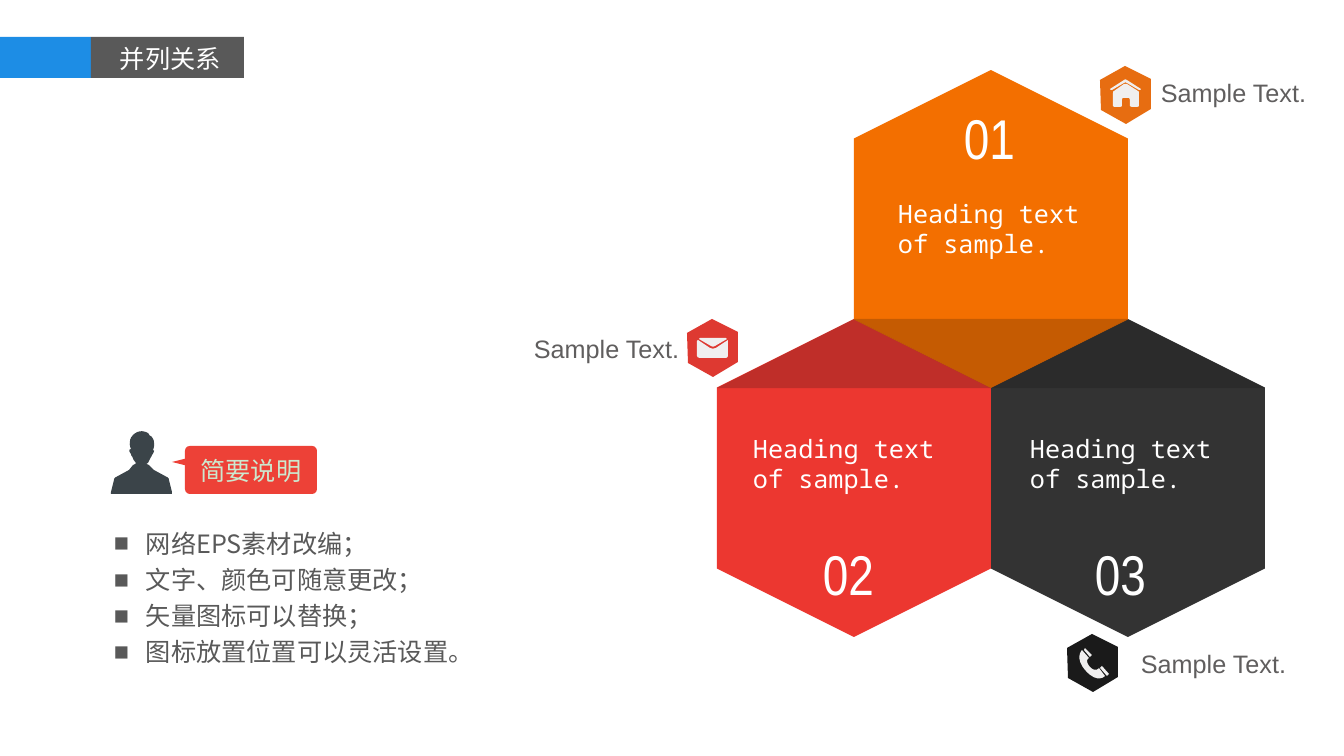
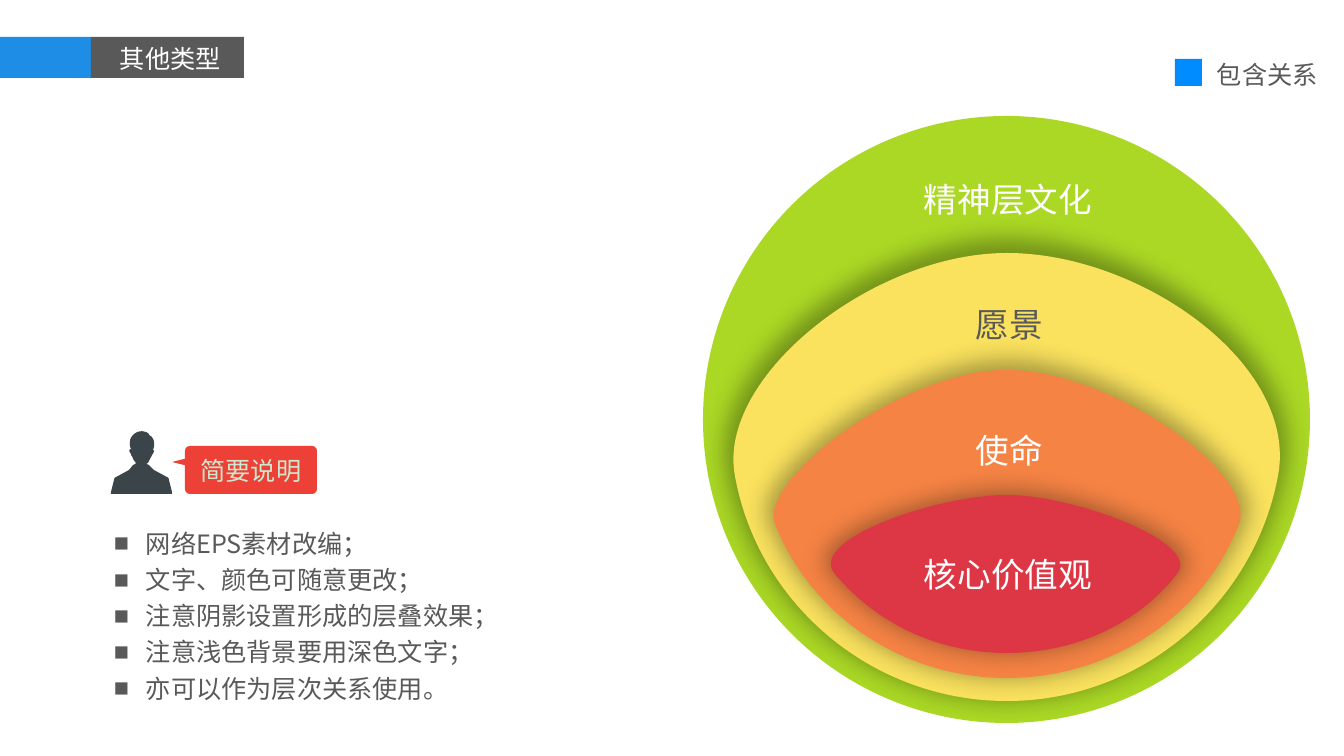
from lxml import etree
from pptx import Presentation
from pptx.dml.color import RGBColor
from pptx.enum.shapes import MSO_SHAPE
from pptx.enum.text import MSO_ANCHOR, PP_ALIGN
from pptx.oxml import parse_xml
from pptx.oxml.ns import nsdecls, qn
from pptx.util import Pt

RECT, ROUND, OVAL = MSO_SHAPE.RECTANGLE, MSO_SHAPE.ROUNDED_RECTANGLE, MSO_SHAPE.OVAL
HEXAGON, TRIANGLE = MSO_SHAPE.HEXAGON, MSO_SHAPE.ISOSCELES_TRIANGLE
LEFT, CENTER, RIGHT = PP_ALIGN.LEFT, PP_ALIGN.CENTER, PP_ALIGN.RIGHT
MIDDLE = MSO_ANCHOR.MIDDLE
TEXT, PATH = "text", "path"

PX = 914400 / 100.8
rgb = RGBColor.from_string
WHITE, GREY, CAPTION, ICON, RED = "FFFFFF", "595959", "605E5E", "F0EFEF", "ED4137"
CJK = "Noto Sans CJK SC"
BODY = {"name": "Arial", "size": Pt(18)}
NOTE = {"name": CJK, "size": Pt(18)}
HEADING = {"name": "Noto Sans Mono", "size": Pt(18)}
NUMBER = {"name": "Arial Narrow", "size": Pt(40)}
LAYER = {"name": "Arial", "size": Pt(24)}


def draw(s, kind, at, fill=None, origin=(0, 0)):
    """Add a preset or text box in the box at, or a PATH through the points at.

    A point of six numbers is a cubic curve: two controls and the end.
    """
    if kind == TEXT:
        return s.shapes.add_textbox(*[round(v * PX) for v in at])
    if kind == PATH:
        points = [(round((x + origin[0]) * PX), round((y + origin[1]) * PX))
                  for step in at for x, y in zip(step[::2], step[1::2])]
        builder = s.shapes.build_freeform(*points[0])
        builder.add_line_segments(points[1:])
        sp = builder.convert_to_shape()
        lines = iter(list(sp._element.iter(qn("a:lnTo"))))
        for step in at[1:]:
            line = next(lines)
            if len(step) == 6:  # gather three points into one curve
                line.tag = qn("a:cubicBezTo")
                for _ in range(2):
                    extra = next(lines)
                    line.append(extra[0])
                    extra.getparent().remove(extra)
    else:
        sp = s.shapes.add_shape(kind, *[round(v * PX) for v in at])
    sp.shadow.inherit = False
    sp.fill.solid()
    sp.fill.fore_color.rgb = rgb(fill)
    sp.line.fill.background()
    return sp


def write(sp, lines, fmt, colour, align=LEFT, wrap=False):
    """Fill a shape with one paragraph a line and return its text frame."""
    tf = sp.text_frame
    tf.word_wrap = wrap
    for i, line in enumerate(lines):
        p = tf.add_paragraph() if i else tf.paragraphs[0]
        p.alignment = align
        r = p.add_run()
        r.text = line
        for name, value in fmt.items():
            setattr(r.font, name, value)
        r.font.color.rgb = rgb(colour)
        etree.SubElement(r.font._element, qn("a:ea"), typeface=CJK)
    return tf


prs = Presentation()
prs.slide_width, prs.slide_height = round(1344 * PX), round(756 * PX)

# Shared: title band, presenter and notes
PERSON = [
    (169, 480), (169, 480, 170, 478, 165, 476), (154, 470), (149, 465),
    (147, 464, 145, 464, 148, 463), (149, 461, 150, 459, 151, 457),
    (151, 457, 152, 456, 152, 455), (152, 455, 156, 450, 153, 450),
    (153, 450, 157, 442, 151, 436), (151, 436, 150, 436, 150, 436),
    (149, 434, 148, 433, 148, 433), (139, 428, 133, 435, 133, 435),
    (127, 441, 131, 449, 131, 449), (127, 449, 131, 454, 131, 454),
    (131, 457, 132, 456, 132, 456), (133, 459, 134, 461, 136, 463),
    (137, 464, 134, 464, 133, 465), (129, 470), (118, 476),
    (113, 478, 114, 480, 114, 480), (111, 492), (111, 494), (172, 494), (172, 492)]
pages = [
    ("并列关系", ["网络EPS素材改编；", "文字、颜色可随意更改；", "矢量图标可以替换；",
              "图标放置位置可以灵活设置。"], (104, 517, 447, 157)),
    ("其他类型", ["网络EPS素材改编；", "文字、颜色可随意更改；", "注意阴影设置形成的层叠效果；",
              "注意浅色背景要用深色文字；", "亦可以作为层次关系使用。"], (104, 517, 392, 194))]
slides = []
for title, notes, notes_box in pages:
    s = prs.slides.add_slide(prs.slide_layouts[6])
    slides.append(s)
    draw(s, RECT, (0, 37, 91, 41), "1D8DE5")
    draw(s, RECT, (91, 37, 153, 41), GREY)
    write(draw(s, TEXT, (110, 38, 123, 40)), [title], BODY, WHITE)
    draw(s, PATH, PERSON, "3B4449")
    tf = write(draw(s, TEXT, notes_box), notes, NOTE, GREY, wrap=True)
    for p in tf.paragraphs:
        p.line_spacing = 1.2
        pPr = p._p.get_or_add_pPr()
        pPr.set("marL", str(round(32 * PX)))
        pPr.set("indent", str(round(-32 * PX)))
        etree.SubElement(pPr, qn("a:buFont"), typeface="Arial")
        etree.SubElement(pPr, qn("a:buChar"), char="■")
    callout = draw(s, ROUND, (185, 446, 132, 48), RED)
    callout.adjustments[0] = 0.1
    tf = write(callout, ["简要说明"], NOTE, "CCE8CF", CENTER)
    tf.vertical_anchor = MIDDLE
    for side in ("left", "top", "right", "bottom"):
        setattr(tf, f"margin_{side}", 0)
    draw(s, TRIANGLE, (176, 454, 8, 16), RED).rotation = 270

# Slide 1: three hexagons meeting at one corner
s = slides[0]
HEX_W, HEX_H = 274, 318
for cx, cy, fill in [(1128, 478, "333333"), (854, 478, "EC3730"), (991, 229, "F36F00")]:
    box = (cx - HEX_H // 2, cy - HEX_W // 2, HEX_H, HEX_W)
    draw(s, HEXAGON, box, fill).rotation = 270

BADGE = [(0, 14), (25, 0), (51, 13), (51, 43), (26, 58), (1, 44)]
HOUSE = [
    [(27, 18), (26, 18, 25, 18, 24, 18), (14, 25), (13, 25, 13, 26, 13, 27), (13, 40),
     (13, 40, 13, 41, 14, 41), (20, 41), (21, 41, 22, 40, 22, 40), (22, 34),
     (22, 33, 22, 32, 23, 32), (29, 32), (29, 32, 30, 33, 30, 34), (30, 40),
     (30, 40, 31, 41, 32, 41), (37, 41), (38, 41, 39, 40, 39, 40), (39, 27),
     (39, 26, 39, 25, 38, 25)],
    [(41, 23), (41, 24, 40, 24, 39, 24), (27, 17), (26, 16, 25, 16, 24, 17), (12, 24),
     (11, 24, 10, 24, 10, 23), (24, 14), (25, 13, 26, 13, 27, 14)]]
PHONE = [
    [(32, 34), (32, 34, 29, 39, 23, 33), (17, 26, 22, 24, 22, 24), (15, 16),
     (15, 16, 7, 24, 19, 37), (31, 50, 38, 42, 38, 42)],
    [(42, 40), (40, 42), (33, 34), (35, 32)],
    [(25, 21), (23, 23), (17, 16), (18, 14)]]
ENVELOPE = [
    [(28, 27), (40, 20), (40, 20, 40, 19, 39, 19), (13, 19), (13, 19, 12, 19, 12, 20),
     (24, 27), (25, 28, 27, 28, 28, 27)],
    [(29, 29), (27, 30, 25, 30, 23, 29), (11, 21), (10, 22), (10, 37),
     (10, 38, 11, 39, 13, 39), (39, 39), (40, 39, 41, 38, 41, 37), (41, 22), (41, 21)]]
badges = [
    ((1100, 66), "E76D11", HOUSE, (1151, 72), LEFT),
    ((1067, 634), "1A1A1A", PHONE, (1131, 643), LEFT),
    ((687, 319), "DE3931", ENVELOPE, (493, 328), RIGHT)]
for origin, fill, icon, label, align in badges:
    draw(s, PATH, BADGE, fill, origin)
    for part in icon:
        draw(s, PATH, part, ICON, origin)
    write(draw(s, TEXT, (*label, 196, 40)), ["Sample Text."], BODY, CAPTION, align, True)

folds = [
    [(1128, 319), (1265, 388), (991, 388)],
    [(854, 319), (991, 388), (717, 388)],
    [(991, 388), (1128, 319), (854, 319)]]
for fold in folds:
    sp = draw(s, PATH, fold, "0D0D0D")
    colour = sp._element.spPr.find(qn("a:solidFill"))[0]
    etree.SubElement(colour, qn("a:alpha"), val="20000")

cells = [
    ("01", (954, 99, 73, 78), (888, 193)),
    ("03", (1085, 535, 81, 78), (1020, 428)),
    ("02", (813, 535, 80, 78), (743, 428))]
for number, number_box, heading_at in cells:
    write(draw(s, TEXT, number_box), [number], NUMBER, WHITE)
    write(draw(s, TEXT, (*heading_at, 221, 72)), ["Heading text of sample."],
          HEADING, WHITE, wrap=True)

# Slide 2: nested layers
s = slides[1]
write(draw(s, TEXT, (1207, 54, 122, 40)), ["包含关系"], BODY, GREY)
draw(s, RECT, (1175, 59, 27, 27), "008CFF")
draw(s, OVAL, (703, 116, 607, 607), "AAD825")
layers = [
    ("FAE25E", [(735, 476), (758, 604, 872, 701, 1007, 701), (1141, 701, 1254, 604, 1278, 476),
                (1299, 365, 1141, 253, 1007, 253), (872, 253, 716, 378, 735, 476)]),
    ("F58344", [(775, 524), (811, 615, 902, 678, 1007, 678), (1111, 678, 1204, 616, 1239, 524),
                (1258, 474, 1111, 370, 1007, 370), (902, 370, 758, 481, 775, 524)]),
    ("DD3645", [(1007, 653), (1075, 653, 1138, 624, 1177, 574),
                (1203, 543, 1075, 495, 1007, 495), (937, 495, 806, 540, 835, 574),
                (876, 623, 937, 653, 1007, 653)])]
SHADOW = (
    f'<a:effectLst {nsdecls("a")}><a:outerShdw blurRad="{Pt(17)}" dist="0" dir="0" '
    'sx="103000" sy="103000" algn="b" rotWithShape="0"><a:srgbClr val="000000">'
    '<a:alpha val="32000"/></a:srgbClr></a:outerShdw></a:effectLst>')
for fill, outline in layers:
    spPr = draw(s, PATH, outline, fill)._element.spPr
    spPr.replace(spPr.find(qn("a:effectLst")), parse_xml(SHADOW))

names = [
    ("精神层文化", 914, 174, 190, WHITE),
    ("核心价值观", 914, 549, 190, WHITE),
    ("使命", 966, 425, 89, WHITE),
    ("愿景", 966, 299, 89, GREY)]
for name, x, y, w, colour in names:
    write(draw(s, TEXT, (x, y, w, 50)), [name], LAYER, colour)

prs.save("out.pptx")
